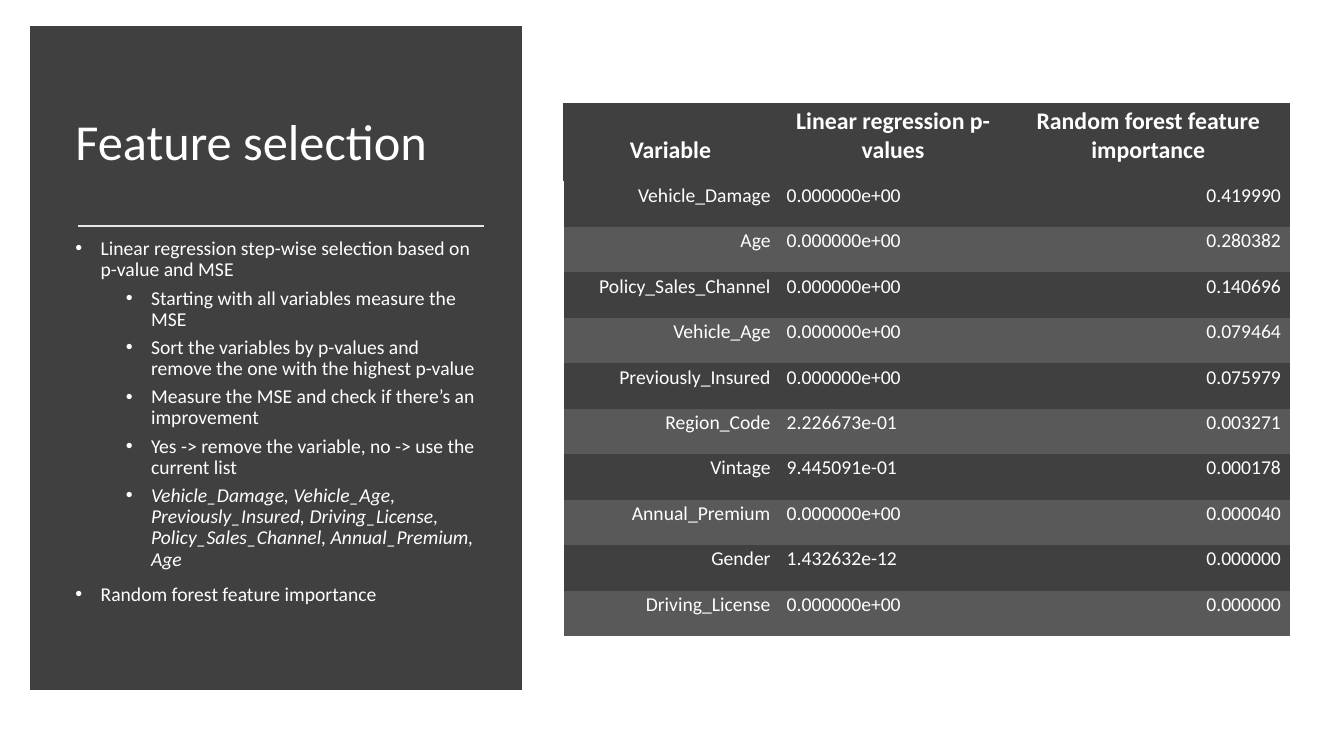
"""Build the feature selection slide: a dark text panel beside a results table."""
from lxml import etree
from pptx import Presentation
from pptx.dml.color import RGBColor
from pptx.enum.shapes import MSO_CONNECTOR, MSO_SHAPE
from pptx.enum.text import MSO_ANCHOR, PP_ALIGN
from pptx.oxml.ns import qn
from pptx.util import Pt

RECT, STRAIGHT = MSO_SHAPE.RECTANGLE, MSO_CONNECTOR.STRAIGHT
TOP, MIDDLE, BOTTOM = MSO_ANCHOR.TOP, MSO_ANCHOR.MIDDLE, MSO_ANCHOR.BOTTOM
LEFT, CENTER, RIGHT = PP_ALIGN.LEFT, PP_ALIGN.CENTER, PP_ALIGN.RIGHT

FONT = "Calibri"
COLORS = {"dark": "404040", "band": "595959", "rule": "E7E6E6", "white": "FFFFFF"}
NO_GRID_STYLE = "{2D5ABB26-0587-4C30-8999-92F81FD0307C}"

TITLE = "Feature selection"
BULLETS = [
    (0, "Linear regression step-wise selection based on p-value and MSE", False),
    (1, "Starting with all variables measure the MSE", False),
    (1, "Sort the variables by p-values and remove the one with the highest p-value", False),
    (1, "Measure the MSE and check if there’s an improvement", False),
    (1, "Yes -> remove the variable, no -> use the current list", False),
    (1, "Vehicle_Damage, Vehicle_Age, Previously_Insured, Driving_License, "
        "Policy_Sales_Channel, Annual_Premium, Age", True),
    (0, "Random forest feature importance", False),
]
HEADER = ("Variable", "Linear regression p-values", "Random forest feature importance")
ROWS = [
    ("Vehicle_Damage", "0.000000e+00", "0.419990"),
    ("Age", "0.000000e+00", "0.280382"),
    ("Policy_Sales_Channel", "0.000000e+00", "0.140696"),
    ("Vehicle_Age", "0.000000e+00", "0.079464"),
    ("Previously_Insured", "0.000000e+00", "0.075979"),
    ("Region_Code", "2.226673e-01", "0.003271"),
    ("Vintage", "9.445091e-01", "0.000178"),
    ("Annual_Premium", "0.000000e+00", "0.000040"),
    ("Gender", "1.432632e-12", "0.000000"),
    ("Driving_License", "0.000000e+00", "0.000000"),
]
PANEL = (26.5, 23.8, 341.4, 464.2)
TITLE_BOX = (46.8, 50.4, 301, 105.8)
BODY_BOX = (46.8, 167, 301, 297.4)
RULE = (55.6, 161.3, 345.6, 161.3)
TABLE_AT = (402.4, 73.6)
COL_WIDTHS = (154.6, 163.4, 201.2)
HEADER_HEIGHT, ROW_HEIGHT = 56, 32.5
COL_ALIGNS = (RIGHT, LEFT, RIGHT)


def rgb(name):
    return RGBColor.from_string(COLORS[name])


def pts(values):
    return [Pt(v) for v in values]


def style(p, size, bold=False, italic=False):
    p.font.name, p.font.size = FONT, Pt(size)
    p.font.bold, p.font.italic = bold, italic
    p.font.color.rgb = rgb("white")


def add_text_frame(s, box, anchor):
    tf = s.shapes.add_textbox(*pts(box)).text_frame
    tf.word_wrap = True
    tf.vertical_anchor = anchor
    return tf


def add_panel(s):
    sp = s.shapes.add_shape(RECT, *pts(PANEL))
    sp.shadow.inherit = False
    sp.fill.solid()
    sp.fill.fore_color.rgb = rgb("dark")
    sp.line.color.rgb = rgb("dark")
    sp.line.width = Pt(10)
    ln = sp._element.spPr.find(qn("a:ln"))
    etree.SubElement(ln, qn("a:miter"), lim="800000")


def add_title(s):
    p = add_text_frame(s, TITLE_BOX, MIDDLE).paragraphs[0]
    p.text = TITLE
    p.line_spacing = 0.9
    style(p, 36)


def add_rule(s):
    line = s.shapes.add_connector(STRAIGHT, *pts(RULE))
    line.line.color.rgb = rgb("rule")
    line.line.width = Pt(1.75)
    etree.SubElement(line._element.spPr, qn("a:effectLst"))


def add_bullets(s):
    tf = add_text_frame(s, BODY_BOX, TOP)
    for i, (level, text, italic) in enumerate(BULLETS):
        p = tf.add_paragraph() if i else tf.paragraphs[0]
        p.text = text
        p.level = level
        p.line_spacing = 0.9
        p.space_before = Pt(5 if level else 10)
        style(p, 14, italic=italic)
        pPr = p._p.get_or_add_pPr()
        pPr.set("marL", str(Pt(18 + 36 * level)))
        pPr.set("indent", str(Pt(-18)))
        bullet_font = etree.Element(qn("a:buFont"), typeface="Arial")
        bullet = etree.Element(qn("a:buChar"), char="•")
        pPr.find(qn("a:defRPr")).addprevious(bullet_font)
        bullet_font.addnext(bullet)


def add_left_border(cell):
    ln = etree.Element(qn("a:lnL"), w=str(Pt(1)))
    fill = etree.SubElement(ln, qn("a:solidFill"))
    etree.SubElement(fill, qn("a:srgbClr"), val=COLORS["white"])
    cell._tc.get_or_add_tcPr().insert(0, ln)


def fill_cell(cell, text, color, anchor, align, size, bold):
    cell.fill.solid()
    cell.fill.fore_color.rgb = rgb(color)
    cell.vertical_anchor = anchor
    cell.margin_left, cell.margin_top = Pt(5), Pt(1.5)
    cell.margin_right, cell.margin_bottom = Pt(6.5), Pt(11.5)
    p = cell.text_frame.paragraphs[0]
    p.text = text
    p.alignment = align
    style(p, size, bold)


def add_results(s):
    heights = [HEADER_HEIGHT] + [ROW_HEIGHT] * len(ROWS)
    size = (sum(COL_WIDTHS), sum(heights))
    table = s.shapes.add_table(len(heights), len(HEADER), *pts(TABLE_AT + size)).table
    table._tbl.tblPr.find(qn("a:tableStyleId")).text = NO_GRID_STYLE
    for col, width in zip(table.columns, COL_WIDTHS):
        col.width = Pt(width)
    for row, height in zip(table.rows, heights):
        row.height = Pt(height)
    for c, text in enumerate(HEADER):
        fill_cell(table.cell(0, c), text, "dark", BOTTOM, CENTER, 17, True)
    for r, values in enumerate(ROWS, 1):
        color = "dark" if r % 2 else "band"
        for c, text in enumerate(values):
            fill_cell(table.cell(r, c), text, color, TOP, COL_ALIGNS[c], 14, False)
        add_left_border(table.cell(r, 0))


def main():
    prs = Presentation()
    prs.slide_width, prs.slide_height = Pt(960), Pt(540)
    s = prs.slides.add_slide(prs.slide_layouts[6])
    add_panel(s)
    add_title(s)
    add_rule(s)
    add_bullets(s)
    add_results(s)
    prs.save("out.pptx")


if __name__ == "__main__":
    main()
